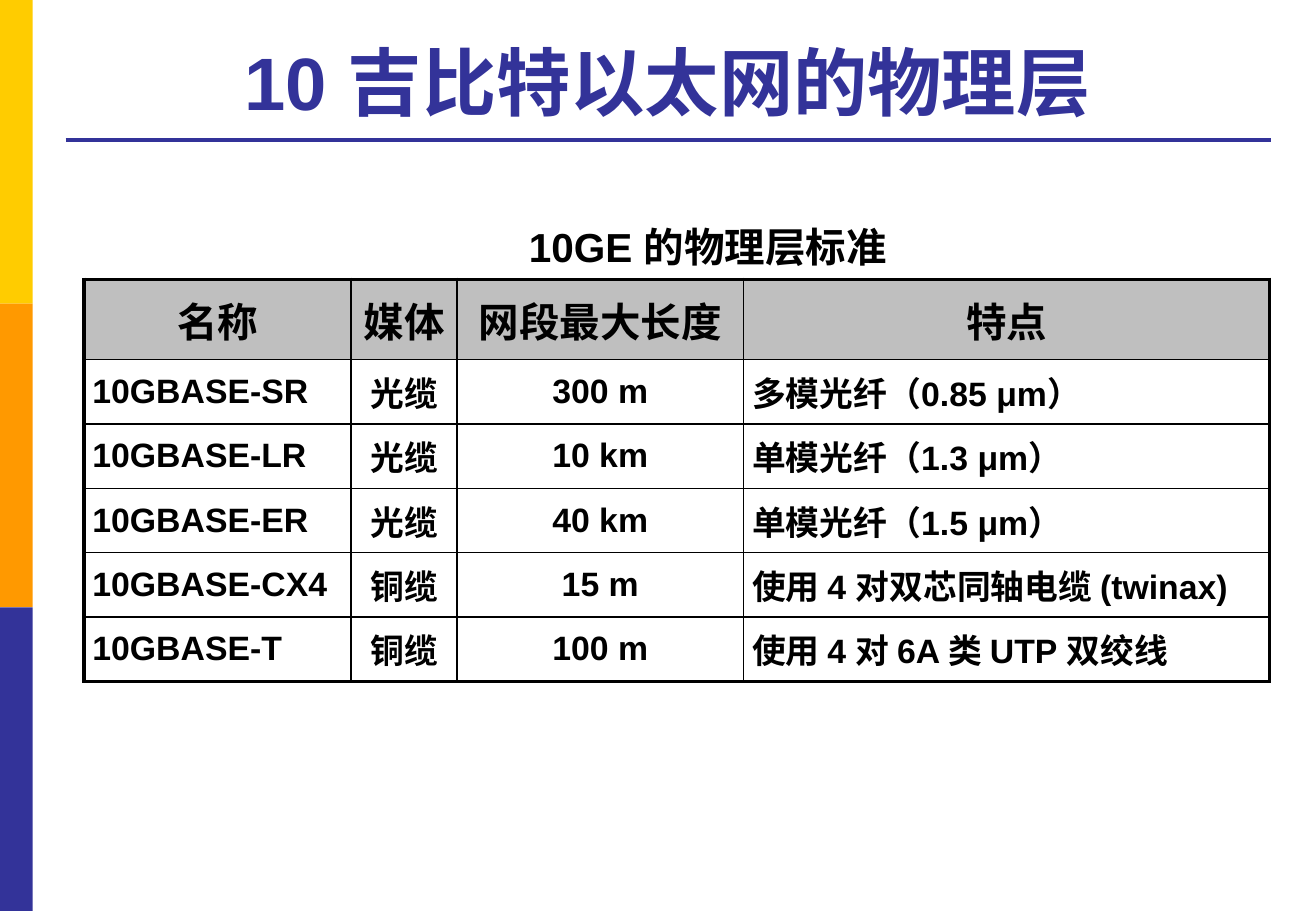
from lxml import etree
from pptx import Presentation
from pptx import util as u
from pptx.dml.color import RGBColor
from pptx.enum import lang, shapes, text
from pptx.oxml import ns

BLUE, BLACK, GREY = "333399", "000000", "BFBFBF"
TITLE = "10 吉比特以太网的物理层"
CAPTION = "10GE 的物理层标准"
STRIPES = ["FFCC00", "FF9900", BLUE]
STANDARDS = [
    ("名称", "媒体", "网段最大长度", "特点"),
    ("10GBASE-SR", "光缆", "300 m", "多模光纤（0.85 μm）"),
    ("10GBASE-LR", "光缆", "10 km", "单模光纤（1.3 μm）"),
    ("10GBASE-ER", "光缆", "40 km", "单模光纤（1.5 μm）"),
    ("10GBASE-CX4", "铜缆", "15 m", "使用 4 对双芯同轴电缆 (twinax)"),
    ("10GBASE-T", "铜缆", "100 m", "使用 4 对 6A 类 UTP 双绞线"),
]
COLUMN_WIDTHS = [2.2, 0.87, 2.36, 4.33]
HEADER_HEIGHT, ROW_HEIGHT = 0.66, 0.53
THICK, THIN = 2.25, 1
CENTER, JUSTIFY = text.PP_ALIGN.CENTER, text.PP_ALIGN.JUSTIFY
MIDDLE, BOTTOM = text.MSO_ANCHOR.MIDDLE, text.MSO_ANCHOR.BOTTOM


def color(value):
    return RGBColor.from_string(value)


def write(frame, words, size=20, fill=BLACK, align=CENTER):
    paragraph = frame.paragraphs[0]
    paragraph.alignment = align
    run = paragraph.add_run()
    run.text = words
    font = run.font
    font.name, font.size, font.bold = "Arial", u.Pt(size), True
    font.language_id = lang.MSO_LANGUAGE_ID.SIMPLIFIED_CHINESE
    font.color.rgb = color(fill)


def add_text(slide, box, words, anchor=MIDDLE, **style):
    frame = slide.shapes.add_textbox(*map(u.Inches, box)).text_frame
    frame.word_wrap = True
    frame.vertical_anchor = anchor
    write(frame, words, **style)


def add_stripes(slide, width=0.27, height=2.5):
    for i, fill in enumerate(STRIPES):
        stripe = slide.shapes.add_shape(
            shapes.MSO_SHAPE.RECTANGLE, 0, u.Inches(i * height),
            u.Inches(width), u.Inches(height))
        stripe.shadow.inherit = False
        stripe.fill.solid()
        stripe.fill.fore_color.rgb = color(fill)
        stripe.line.fill.background()


def add_rule(slide):
    rule = slide.shapes.add_connector(
        shapes.MSO_CONNECTOR.STRAIGHT,
        *map(u.Inches, (0.54, 1.15, 10.46, 1.15)))
    rule.line.color.rgb = color(BLUE)
    rule.line.width = u.Pt(THICK)
    etree.SubElement(rule._element.spPr, ns.qn("a:effectLst"))


def set_borders(cell, widths):
    properties = cell._tc.get_or_add_tcPr()
    for side, width in widths.items():
        line = etree.SubElement(properties, ns.qn("a:ln" + side), w=str(u.Pt(width)))
        fill = etree.SubElement(line, ns.qn("a:solidFill"))
        etree.SubElement(fill, ns.qn("a:srgbClr"), val=BLACK)


def add_standards(slide):
    rows, columns = len(STANDARDS), len(COLUMN_WIDTHS)
    heights = [HEADER_HEIGHT] + [ROW_HEIGHT] * (rows - 1)
    table = slide.shapes.add_table(
        rows, columns, u.Inches(0.69), u.Inches(2.3),
        u.Inches(sum(COLUMN_WIDTHS)), u.Inches(sum(heights))).table
    for column, width in zip(table.columns, COLUMN_WIDTHS):
        column.width = u.Inches(width)
    for r, (row, height) in enumerate(zip(table.rows, heights)):
        row.height = u.Inches(height)
        for c, cell in enumerate(row.cells):
            header, outer = r == 0, c in (0, columns - 1)
            set_borders(cell, {
                "L": THICK if c == 0 else THIN,
                "R": THICK if c == columns - 1 else THIN,
                "T": THICK if header else THIN,
                "B": THICK if r == rows - 1 else THIN,
            })
            if header:
                cell.fill.solid()
                cell.fill.fore_color.rgb = color(GREY)
            else:
                cell.fill.background()
            cell.vertical_anchor = MIDDLE
            cell.margin_left = cell.margin_right = u.Inches(0.07)
            cell.margin_top = cell.margin_bottom = 0
            write(cell.text_frame, STANDARDS[r][c], size=24 if header else 20,
                  align=JUSTIFY if outer and not header else CENTER)


def main():
    presentation = Presentation()
    presentation.slide_width = u.Inches(10.83)
    presentation.slide_height = u.Inches(7.5)
    slide = presentation.slides.add_slide(presentation.slide_layouts[6])
    add_stripes(slide)
    add_rule(slide)
    add_text(slide, (0.54, 0.21, 9.91, 0.87), TITLE, anchor=BOTTOM, size=44, fill=BLUE)
    add_standards(slide)
    add_text(slide, (2.35, 1.78, 6.95, 0.5), CAPTION, size=24)
    presentation.save("out.pptx")


if __name__ == "__main__":
    main()
